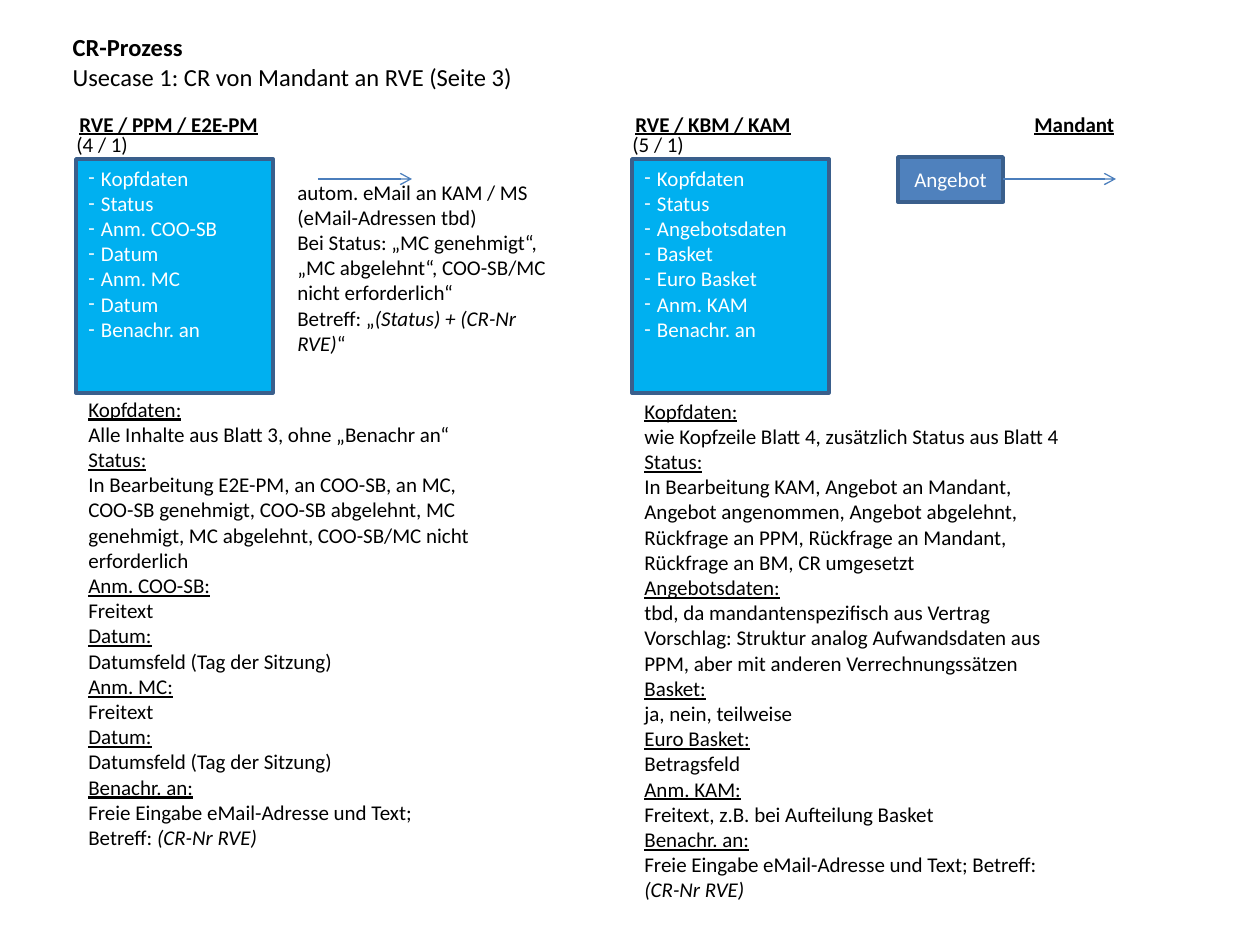
"""Build the CR-Prozess slide: two process columns with field lists and explanations."""
from lxml import etree
from pptx import Presentation
from pptx.dml.color import RGBColor
from pptx.enum.shapes import MSO_CONNECTOR, MSO_SHAPE
from pptx.enum.text import MSO_ANCHOR, MSO_AUTO_SIZE, PP_ALIGN
from pptx.oxml.ns import qn
from pptx.util import Emu, Inches, Pt

STRAIGHT, RECT = MSO_CONNECTOR.STRAIGHT, MSO_SHAPE.RECTANGLE
TOP, MIDDLE = MSO_ANCHOR.TOP, MSO_ANCHOR.MIDDLE
LEFT, CENTER = PP_ALIGN.LEFT, PP_ALIGN.CENTER
FIXED = MSO_AUTO_SIZE.NONE

FONT = "Calibri"
COLORS = {"text": "000000", "light": "FFFFFF", "field": "00B0F0",
          "offer": "4F81BD", "border": "3A5F8C", "arrow": "4B7EBC"}
SCALE = 914400 / 126

BOLD, UNDER, ITALIC = {"bold": True}, {"underline": True}, {"italic": True}
HEAD = BOLD | UNDER
REPLY = [("Freie Eingabe eMail-Adresse und Text; Betreff: ", {}), ("(CR-Nr RVE)", ITALIC)]

TITLE = [[("CR-Prozess", BOLD)], [("Usecase 1: CR von Mandant an RVE (Seite 3)", {})]]
COLUMNS = [
    {"left": 76, "head": "RVE / PPM / E2E-PM", "head_width": 207, "sheet": "(4 / 1)",
     "fields": ["Kopfdaten", "Status", "Anm. COO-SB", "Datum", "Anm. MC", "Datum",
                "Benachr. an"],
     "notes_box": (390, 415, 496),
     "notes": [
         ["Alle Inhalte aus Blatt 3, ohne „Benachr an“"],
         ["In Bearbeitung E2E-PM, an COO-SB, an MC, COO-SB genehmigt, COO-SB abgelehnt, "
          "MC genehmigt, MC abgelehnt, COO-SB/MC nicht erforderlich"],
         ["Freitext"], ["Datumsfeld (Tag der Sitzung)"],
         ["Freitext"], ["Datumsfeld (Tag der Sitzung)"]]},
    {"left": 632, "head": "RVE / KBM / KAM", "head_width": 184, "sheet": "(5 / 1)",
     "fields": ["Kopfdaten", "Status", "Angebotsdaten", "Basket", "Euro Basket",
                "Anm. KAM", "Benachr. an"],
     "notes_box": (392, 445, 547),
     "notes": [
         ["wie Kopfzeile Blatt 4, zusätzlich Status aus Blatt 4"],
         ["In Bearbeitung KAM, Angebot an Mandant, Angebot angenommen, Angebot abgelehnt, "
          "Rückfrage an PPM, Rückfrage an Mandant, Rückfrage an BM, CR umgesetzt"],
         ["tbd, da mandantenspezifisch aus Vertrag",
          "Vorschlag: Struktur analog Aufwandsdaten aus PPM, aber mit anderen "
          "Verrechnungssätzen"],
         ["ja, nein, teilweise"], ["Betragsfeld"],
         ["Freitext, z.B. bei Aufteilung Basket"]]},
]
MAIL = [
    [("autom. eMail an KAM / MS (eMail-Adressen tbd)", {})],
    [("Bei Status: „MC genehmigt“, „MC abgelehnt“, COO-SB/MC nicht erforderlich“", {})],
    [("Betreff: „", {}), ("(Status) + (CR-Nr RVE)", ITALIC), ("“", {})],
]
ARROWS = [(318, 412), (1003, 1116)]
ARROW_Y = 179


def px(n):
    return Emu(round(n * SCALE))


def rgb(name):
    return RGBColor.from_string(COLORS[name])


def place(s, box):
    s.left, s.top, s.width, s.height = map(px, box)


def write(s, paras, size=12, color="text", wrap=True, anchor=TOP, align=LEFT, dash=False):
    tf = s.text_frame
    tf.word_wrap, tf.vertical_anchor, tf.auto_size = wrap, anchor, FIXED
    tf.margin_left = tf.margin_right = Inches(0.1)
    tf.margin_top = tf.margin_bottom = Inches(0.05)
    for i, runs in enumerate(paras):
        p = tf.add_paragraph() if i else tf.paragraphs[0]
        p.alignment = align
        if dash:
            pPr = p._p.get_or_add_pPr()
            pPr.set("marL", str(Inches(0.1)))
            pPr.set("indent", str(-Inches(0.1)))
            etree.SubElement(pPr, qn("a:buFont"), typeface=FONT)
            etree.SubElement(pPr, qn("a:buChar"), char="-")
        for text, style in runs:
            r = p.add_run()
            r.text = text
            f = r.font
            f.name, f.size, f.color.rgb = FONT, Pt(size), rgb(color)
            f.bold = style.get("bold", False)
            f.underline = style.get("underline", False)
            f.italic = style.get("italic", False)


def add_text(box, paras, **options):
    write(slide.shapes.add_textbox(*map(px, box)), paras, **options)


def add_box(box, fill, paras, **options):
    s = slide.shapes.add_shape(RECT, *map(px, box))
    s.shadow.inherit = False
    s.fill.solid()
    s.fill.fore_color.rgb = rgb(fill)
    s.line.color.rgb = rgb("border")
    s.line.width = Pt(2)
    write(s, paras, color="light", **options)


def add_arrow(start, end):
    s = slide.shapes.add_connector(STRAIGHT, px(start), px(ARROW_Y), px(end), px(ARROW_Y))
    s.line.color.rgb = rgb("arrow")
    s.line.width = Pt(0.75)
    etree.SubElement(s.line._get_or_add_ln(), qn("a:tailEnd"), type="arrow")
    etree.SubElement(s._element.spPr, qn("a:effectLst"))


def explain(column):
    paras = []
    for field, lines in zip(column["fields"], column["notes"]):
        paras.append([(field + ":", UNDER)])
        paras += [[(line, {})] for line in lines]
    return paras + [[(column["fields"][-1] + ":", UNDER)], REPLY]


prs = Presentation()
prs.slide_width, prs.slide_height = Inches(10), Inches(7.5)
slide = prs.slides.add_slide(prs.slide_layouts[5])
title = slide.shapes.title
place(title, (60, 26, 470, 72))
write(title, TITLE, size=14, wrap=False)

for column in COLUMNS:
    x = column["left"]
    top, width, height = column["notes_box"]
    add_text((x - 9, 105, column["head_width"], 38), [[(column["head"], HEAD)]], wrap=False)
    add_box((x, 159, 197, 234), "field", [[(f, {})] for f in column["fields"]], dash=True)
    add_text((x - 12, 125, 129, 38), [[(column["sheet"], {})]])
    add_text((x, top, width, height), explain(column))

add_text((1022, 105, 106, 38), [[("Mandant", HEAD)]], wrap=False)
add_text((285, 173, 276, 190), MAIL)
add_box((898, 157, 105, 45), "offer", [[("Angebot", {})]], anchor=MIDDLE, align=CENTER)
for start, end in ARROWS:
    add_arrow(start, end)

prs.save("out.pptx")
